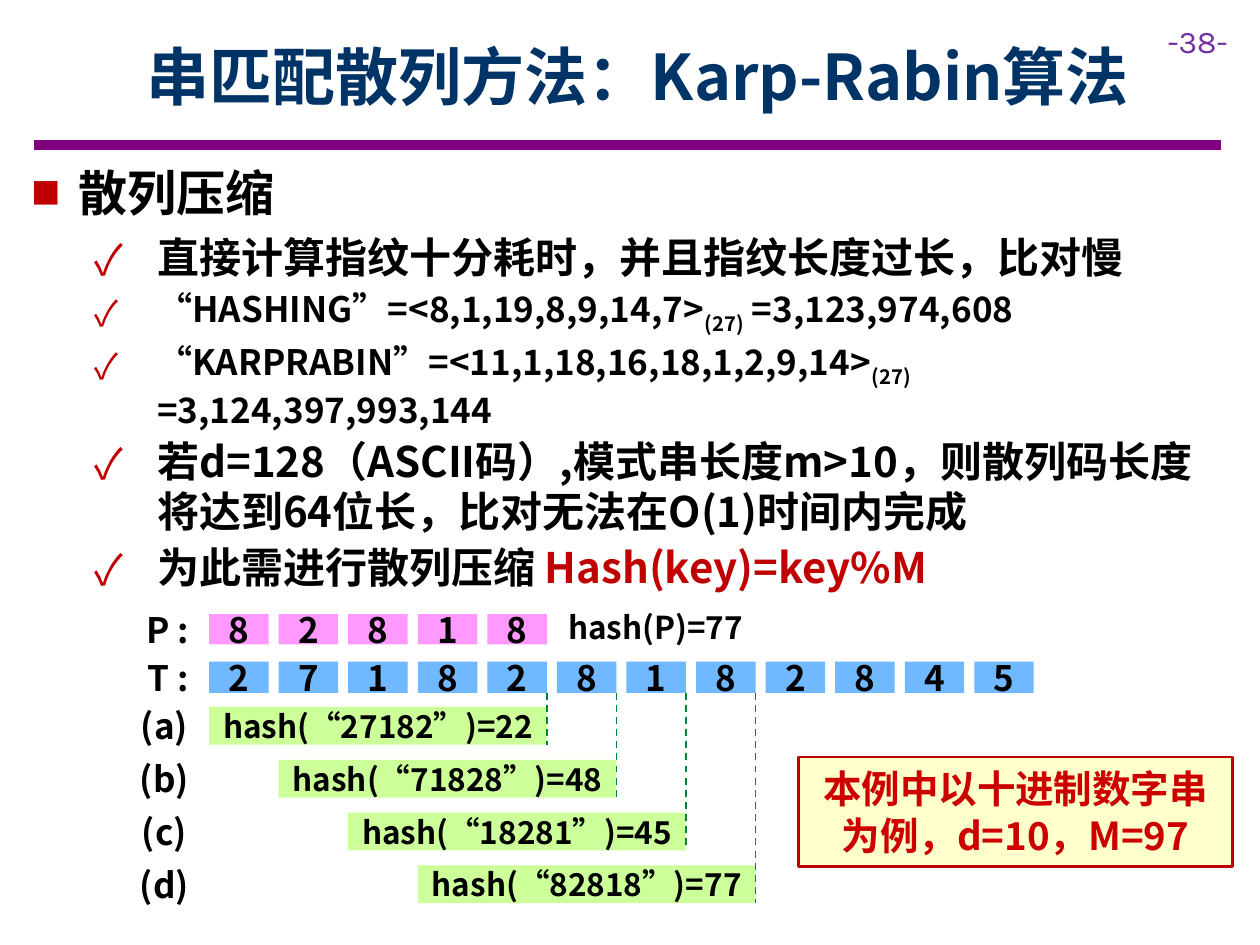
"""Build the slide on hash compression in Karp-Rabin string matching."""
from lxml import etree
from pptx import Presentation
from pptx.dml.color import RGBColor
from pptx.enum import dml, shapes, text
from pptx.oxml.ns import qn
from pptx.util import Pt

BLACK = RGBColor(0, 0, 0)
NAVY = RGBColor(0x00, 0x33, 0x66)
PURPLE = RGBColor(0x80, 0x00, 0x80)
VIOLET = RGBColor(0x70, 0x30, 0xA0)
CRIMSON = RGBColor(0xC0, 0x00, 0x00)
RED = RGBColor(0xCC, 0x00, 0x00)
PINK = RGBColor(0xFF, 0x99, 0xFF)
BLUE = RGBColor(0x70, 0xB8, 0xFF)
LIME = RGBColor(0xCC, 0xFF, 0x99)
CREAM = RGBColor(0xFF, 0xFF, 0xCC)
GREEN = RGBColor(0x00, 0x82, 0x3B)
CJK = "Noto Sans CJK SC"

TITLE = "串匹配散列方法：Karp-Rabin算法"
HEADING = (28, 27, 27, 6, "■", 60)
POINT = (24, 72, 36, 3, "✓", 100)
EXAMPLE = (20, 72, 36, 3, "✓", 100)
OUTLINE = [
    (HEADING, [("散列压缩", "")]),
    (POINT, [("直接计算指纹十分耗时，并且指纹长度过长，比对慢", "")]),
    (EXAMPLE, [("“HASHING”=<8,1,19,8,9,14,7>", ""), ("(27)", "sub"), (" =3,123,974,608", "")]),
    (EXAMPLE, [("“KARPRABIN”=<11,1,18,16,18,1,2,9,14>", ""), ("(27)", "sub"),
               (" =3,124,397,993,144", "")]),
    (POINT, [("若d=128（ASCII码）,模式串长度m>10，则散列码长度将达到64位长，比对无法在O(1)时间内完成", "")]),
    (POINT, [("为此需进行散列压缩 ", ""), ("Hash(key)=key%M", "key")]),
]
DIGIT_ROWS = [("P :", "82818", PINK, 351, 17.3), ("T :", "271828182845", BLUE, 378, 18)]
WINDOWS = [("(a)", "hash(“27182”)=22"), ("(b)", "hash(“71828”)=48"),
           ("(c)", "hash(“18281”)=45"), ("(d)", "hash(“82818”)=77")]
NOTE = "本例中以十进制数字串为例，d=10，M=97"

GRID_LEFT, PITCH, CELL = 119.5, 39.75, 34
BAR_TOP, BAR_STEP, BAR_HEIGHT = 404, 30.2, 21.6
BAR_WIDTH = 4 * PITCH + CELL
GUIDE_TOP, LABEL_HEIGHT = 395.8, 35

deck = Presentation()
deck.slide_width, deck.slide_height = Pt(720), Pt(540)
slide = deck.slides.add_slide(deck.slide_layouts[6])


def style(run, size, color=BLACK, font=CJK, bold=True):
    run.font.size, run.font.bold, run.font.name = Pt(size), bold, font
    run.font.color.rgb = color
    etree.SubElement(run.font._element, qn("a:ea")).set("typeface", font)


def fill_text(shape, words, size, color=BLACK, align=text.PP_ALIGN.CENTER, side=0,
              anchor=text.MSO_ANCHOR.MIDDLE, font=CJK, bold=True):
    frame = shape.text_frame
    frame.text, frame.word_wrap, frame.vertical_anchor = words, True, anchor
    frame.margin_left = frame.margin_right = Pt(side)
    frame.margin_top = frame.margin_bottom = Pt(3.6)
    frame.paragraphs[0].alignment = align
    style(frame.paragraphs[0].runs[0], size, color, font, bold)


def textbox(left, top, width, height):
    return slide.shapes.add_textbox(Pt(left), Pt(top), Pt(width), Pt(height))


def block(left, top, width, height, fill, line=None):
    shape = slide.shapes.add_shape(shapes.MSO_SHAPE.RECTANGLE,
                                   Pt(left), Pt(top), Pt(width), Pt(height))
    shape.shadow.inherit = False
    shape.fill.solid()
    shape.fill.fore_color.rgb = fill
    if line is None:
        shape.line.fill.background()
    else:
        shape.line.color.rgb, shape.line.width = line, Pt(1.5)
    return shape


def rule(x1, y1, x2, y2, color, width):
    line = slide.shapes.add_connector(shapes.MSO_CONNECTOR.STRAIGHT,
                                      Pt(x1), Pt(y1), Pt(x2), Pt(y2))
    line.line.color.rgb, line.line.width = color, Pt(width)
    etree.SubElement(line._element.spPr, qn("a:effectLst"))
    return line


def row_label(words, left, middle):
    fill_text(textbox(left, middle - LABEL_HEIGHT / 2, CELL, LABEL_HEIGHT), words, 20)


def bullet(paragraph, mark, margin, hang, percent):
    props = paragraph._p.get_or_add_pPr()
    props.set("marL", str(Pt(margin)))
    props.set("indent", str(-Pt(hang)))
    color = etree.SubElement(props, qn("a:buClr"))
    etree.SubElement(color, qn("a:srgbClr")).set("val", str(CRIMSON))
    etree.SubElement(props, qn("a:buSzPct")).set("val", str(percent * 1000))
    etree.SubElement(props, qn("a:buFont")).set("typeface", CJK)
    etree.SubElement(props, qn("a:buChar")).set("char", mark)


rule(19.7, 82.8, 697.7, 82.8, PURPLE, 6)
fill_text(textbox(660.2, 9, 59.8, 29), "-38-", 18, VIOLET, text.PP_ALIGN.LEFT, 7.2,
          text.MSO_ANCHOR.TOP, "Karla", False)
fill_text(textbox(65.5, 7, 598, 72), TITLE, 36, NAVY, side=7.2)

outline = textbox(10.8, 89.3, 690, 248).text_frame
outline.word_wrap = True
for index, ((size, margin, hang, after, mark, percent), parts) in enumerate(OUTLINE):
    item = outline.add_paragraph() if index else outline.paragraphs[0]
    item.line_spacing, item.space_after = 1.0, Pt(after)
    bullet(item, mark, margin, hang, percent)
    for words, role in parts:
        part = item.add_run()
        part.text = words
        style(part, size, CRIMSON if role == "key" else BLACK)
        if role == "sub":
            part.font._element.set("baseline", "-25000")

for label, digits, color, top, height in DIGIT_ROWS:
    row_label(label, 79, top + height / 2)
    for column, digit in enumerate(digits):
        fill_text(block(GRID_LEFT + column * PITCH, top, CELL, height, color), digit, 20)
fill_text(textbox(317.5, 343.8, 123, 29), "hash(P)=77", 18, align=text.PP_ALIGN.LEFT, side=7.2)

for shift, (label, result) in enumerate(WINDOWS):
    left, top = GRID_LEFT + shift * PITCH, BAR_TOP + shift * BAR_STEP
    fill_text(block(left, top, BAR_WIDTH, BAR_HEIGHT, LIME), result, 18)
    row_label(label, 77, top + BAR_HEIGHT / 2)
    guide = rule(left + BAR_WIDTH, GUIDE_TOP, left + BAR_WIDTH, top + BAR_HEIGHT, GREEN, 1)
    guide.line.dash_style = dml.MSO_LINE.DASH

fill_text(block(456.5, 432.5, 247.7, 62.6, CREAM, CRIMSON), NOTE, 22, RED, side=7.2)

deck.save("out.pptx")
